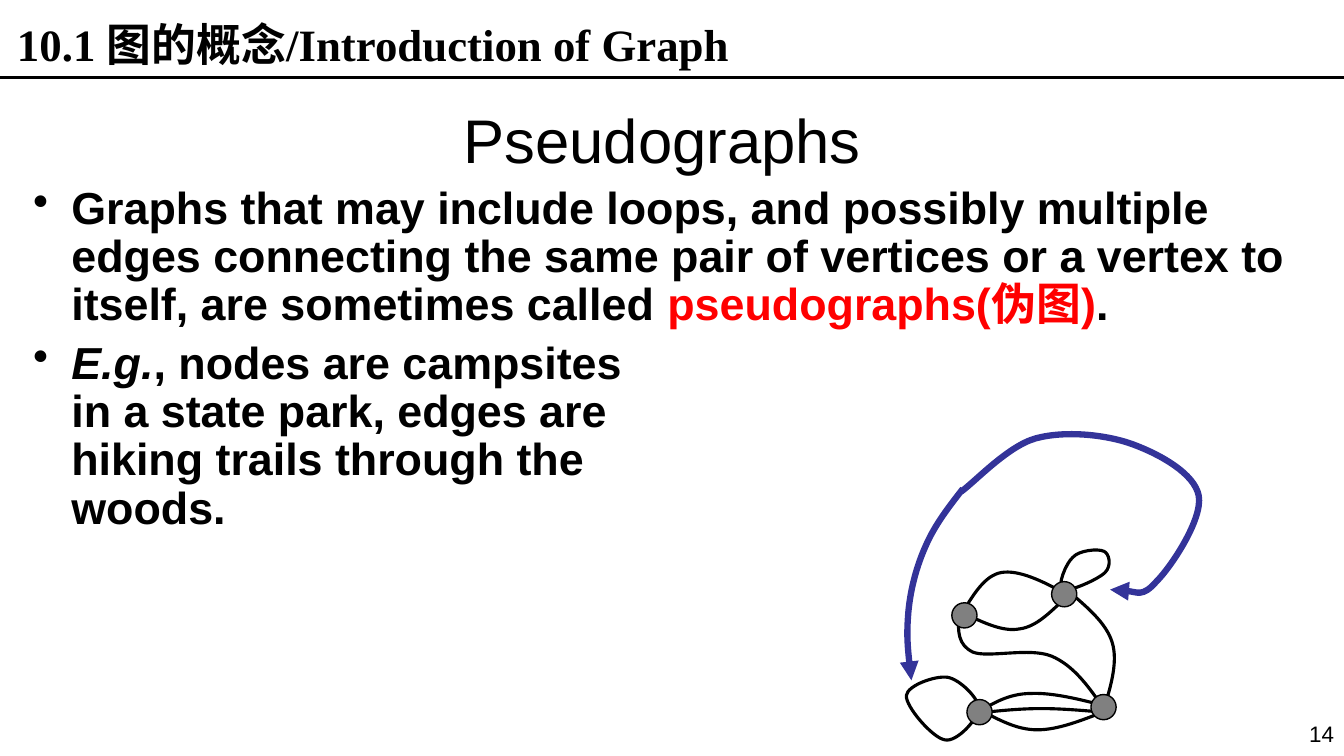
from pptx import Presentation
from pptx.dml.color import RGBColor
from pptx.enum.shapes import MSO_CONNECTOR, MSO_SHAPE
from pptx.enum.text import MSO_ANCHOR, PP_ALIGN
from pptx.oxml.ns import qn
from pptx.oxml.xmlchemy import OxmlElement
from pptx.util import Inches, Pt

BLACK = RGBColor(0, 0, 0)
RED = RGBColor(255, 0, 0)
GRAY = RGBColor(128, 128, 128)
BLUE = RGBColor(0x33, 0x33, 0x99)

EDGES = [
    [(9.55, 6.07), (9.66, 5.89), (9.77, 5.71), (9.93, 5.68),
     (10.1, 5.65), (10.33, 5.76), (10.55, 5.88)],
    [(9.57, 6.09), (9.76, 6.18), (9.95, 6.27), (10.11, 6.24),
     (10.28, 6.22), (10.42, 6.07), (10.57, 5.93)],
    [(9.69, 7.07), (9.85, 6.98), (10, 6.88), (10.23, 6.88),
     (10.46, 6.87), (10.76, 6.95), (11.06, 7.03)],
    [(10.59, 5.86), (10.78, 6.02), (10.97, 6.18), (11.03, 6.37),
     (11.09, 6.56), (11.02, 6.8), (10.95, 7.03)],
    [(9.73, 7.05), (9.91, 7.14), (10.08, 7.24), (10.29, 7.24),
     (10.49, 7.24), (10.72, 7.15), (10.95, 7.06)],
    [(9.73, 7.07), (9.93, 7.05), (10.12, 7.03), (10.33, 7.03),
     (10.54, 7.03), (10.76, 7.05), (10.99, 7.07)],
    [(9.51, 6.12), (9.5, 6.26), (9.5, 6.4), (9.65, 6.47),
     (9.8, 6.53), (10.21, 6.42), (10.43, 6.51),
     (10.64, 6.6), (10.78, 6.79), (10.92, 6.99)],
]
LOOPS = [
    [(10.54, 5.85), (10.48, 5.82), (10.57, 5.59), (10.64, 5.53),
     (10.7, 5.46), (10.89, 5.44), (10.95, 5.47),
     (11, 5.49), (11.03, 5.61), (10.96, 5.68),
     (10.89, 5.75), (10.59, 5.88), (10.54, 5.85)],
    [(9.71, 7.03), (9.71, 6.93), (9.52, 6.74), (9.4, 6.72),
     (9.28, 6.7), (9, 6.8), (8.99, 6.9),
     (8.98, 7.01), (9.25, 7.32), (9.37, 7.34),
     (9.49, 7.37), (9.7, 7.13), (9.71, 7.03)],
]
ARROWS = [
    [(9.55, 4.85), (9.41, 5.03), (9.27, 5.21), (9.18, 5.42),
     (9.09, 5.62), (9.03, 5.85), (9.01, 6.07),
     (8.99, 6.3), (9.01, 6.52), (9.04, 6.75)],
    [(9.53, 4.88), (9.66, 4.79), (9.99, 4.43), (10.27, 4.35),
     (10.56, 4.27), (10.97, 4.31), (11.24, 4.41),
     (11.51, 4.51), (11.85, 4.7), (11.89, 4.92),
     (11.93, 5.15), (11.62, 5.62), (11.47, 5.77),
     (11.33, 5.93), (11.11, 5.84), (11.01, 5.85)],
]
NODES = [(9.44, 5.98), (10.82, 6.89), (10.43, 5.77), (9.59, 6.94)]


def add_box(slide, left, top, width, height):
    box = slide.shapes.add_textbox(
        Inches(left), Inches(top), Inches(width), Inches(height))
    box.text_frame.word_wrap = True
    return box.text_frame


def style(run, size, name="Arial", bold=False, color=BLACK):
    run.font.size = Pt(size)
    run.font.name = name
    run.font.bold = bold
    run.font.color.rgb = color


def add_label(slide, area, text, size, align, **look):
    frame = add_box(slide, *area)
    frame.text = text
    para = frame.paragraphs[0]
    para.alignment = align
    style(para.runs[0], size, **look)
    return frame


def add_bullet(para, parts):
    props = para._p.get_or_add_pPr()
    props.set("marL", str(Inches(0.38)))
    props.set("indent", str(Inches(-0.38)))
    mark = OxmlElement("a:buChar")
    mark.set("char", "•")
    props.append(mark)
    para.line_spacing = 0.9
    for text, color, slant in parts:
        for row, line in enumerate(text.split("\n")):
            if row:
                para.add_line_break()
            run = para.add_run()
            run.text = line
            style(run, 32, bold=True, color=color)
            run.font.italic = slant


def add_curve(slide, points, color=BLACK, width=2.25, closed=False, arrow=False):
    spots = [(Inches(x), Inches(y)) for x, y in points]
    pen = slide.shapes.build_freeform(*spots[0])
    pen.add_line_segments(spots[1:], close=closed)
    curve = pen.convert_to_shape()
    route = curve._element.find(".//" + qn("a:path"))
    steps = route.findall(qn("a:lnTo"))
    for first, second, third in zip(steps[::3], steps[1::3], steps[2::3]):
        first.tag = qn("a:cubicBezTo")
        for step in (second, third):
            first.append(step[0])
            route.remove(step)
    curve.shadow.inherit = False
    curve.fill.background()
    curve.line.color.rgb = color
    curve.line.width = Pt(width)
    if arrow:
        tip = OxmlElement("a:tailEnd")
        tip.set("type", "triangle")
        curve.line._get_or_add_ln().append(tip)


def add_node(slide, left, top):
    node = slide.shapes.add_shape(
        MSO_SHAPE.OVAL, Inches(left), Inches(top), Inches(0.25), Inches(0.25))
    node.shadow.inherit = False
    node.fill.solid()
    node.fill.fore_color.rgb = GRAY
    node.line.color.rgb = BLACK
    node.line.width = Pt(1)


def add_rule(slide, y):
    rule = slide.shapes.add_connector(
        MSO_CONNECTOR.STRAIGHT, 0, Inches(y), Inches(13.33), Inches(y))
    rule.line.color.rgb = BLACK
    rule.line.width = Pt(2.25)
    rule._element.spPr.append(OxmlElement("a:effectLst"))


def add_body(slide):
    frame = add_box(slide, 0.23, 1.79, 13.1, 5.7)
    add_bullet(frame.paragraphs[0], [
        ("Graphs that may include loops, and possibly multiple edges "
         "connecting the same pair of vertices or a vertex to itself, "
         "are sometimes called ", BLACK, False),
        ("pseudographs(伪图)", RED, False),
        (".", BLACK, False)])
    para = frame.add_paragraph()
    add_bullet(para, [
        ("E.g.", BLACK, True),
        (", nodes are campsites\nin a state park, edges are\n"
         "hiking trails through the \nwoods.", BLACK, False)])
    para.space_before = Pt(7)


def main():
    deck = Presentation()
    deck.slide_width = Inches(13.33)
    deck.slide_height = Inches(7.5)
    slide = deck.slides.add_slide(deck.slide_layouts[6])
    add_rule(slide, 0.77)
    add_label(slide, (12.7, 7.1, 0.63, 0.37), "14", 16, PP_ALIGN.RIGHT)
    add_body(slide)
    add_label(slide, (0.07, 0.12, 12.09, 0.64),
              "10.1 图的概念/Introduction of Graph", 32, PP_ALIGN.LEFT,
              name="Times New Roman", bold=True)
    title = add_label(slide, (0.57, 0.75, 12, 1.25), "Pseudographs", 44,
                      PP_ALIGN.CENTER)
    title.vertical_anchor = MSO_ANCHOR.MIDDLE
    for edge in EDGES:
        add_curve(slide, edge)
    for loop in LOOPS:
        add_curve(slide, loop, closed=True)
    for spot in NODES:
        add_node(slide, *spot)
    for arrow in ARROWS:
        add_curve(slide, arrow, BLUE, 4.5, arrow=True)
    deck.save("out.pptx")


if __name__ == "__main__":
    main()
